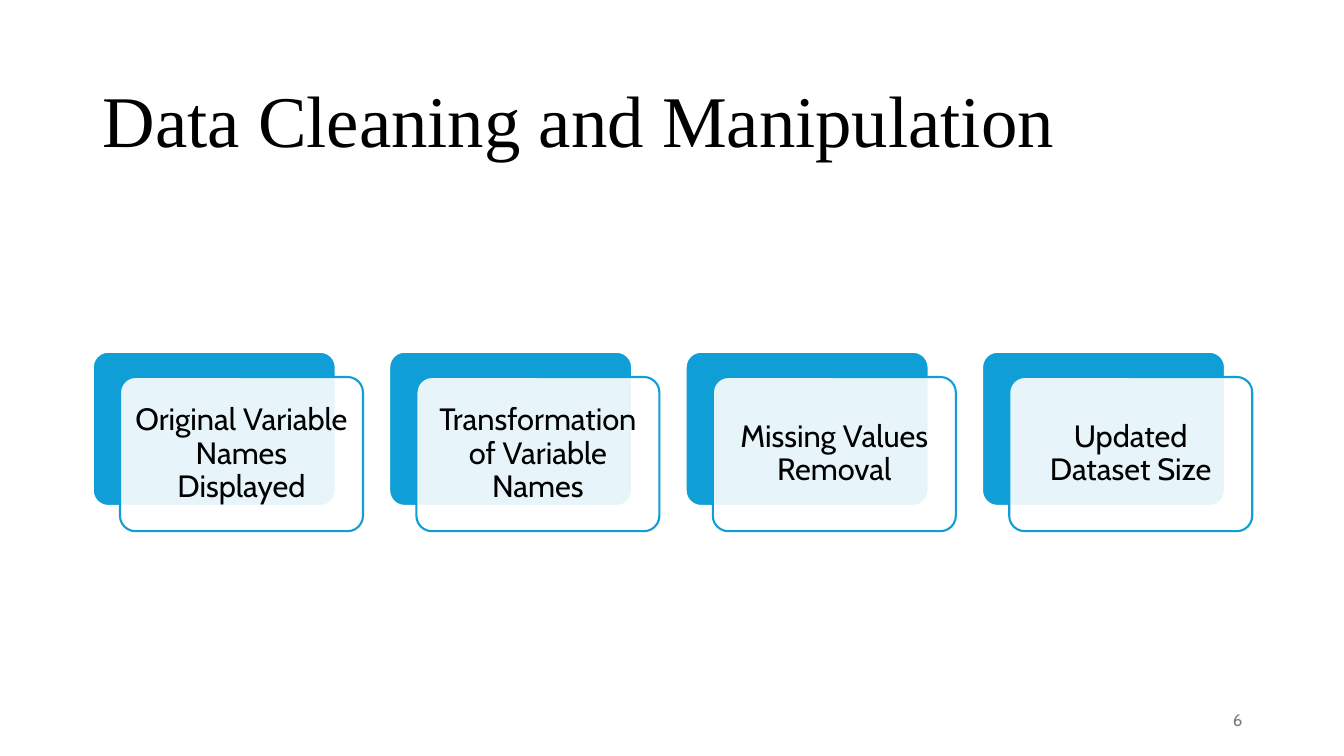
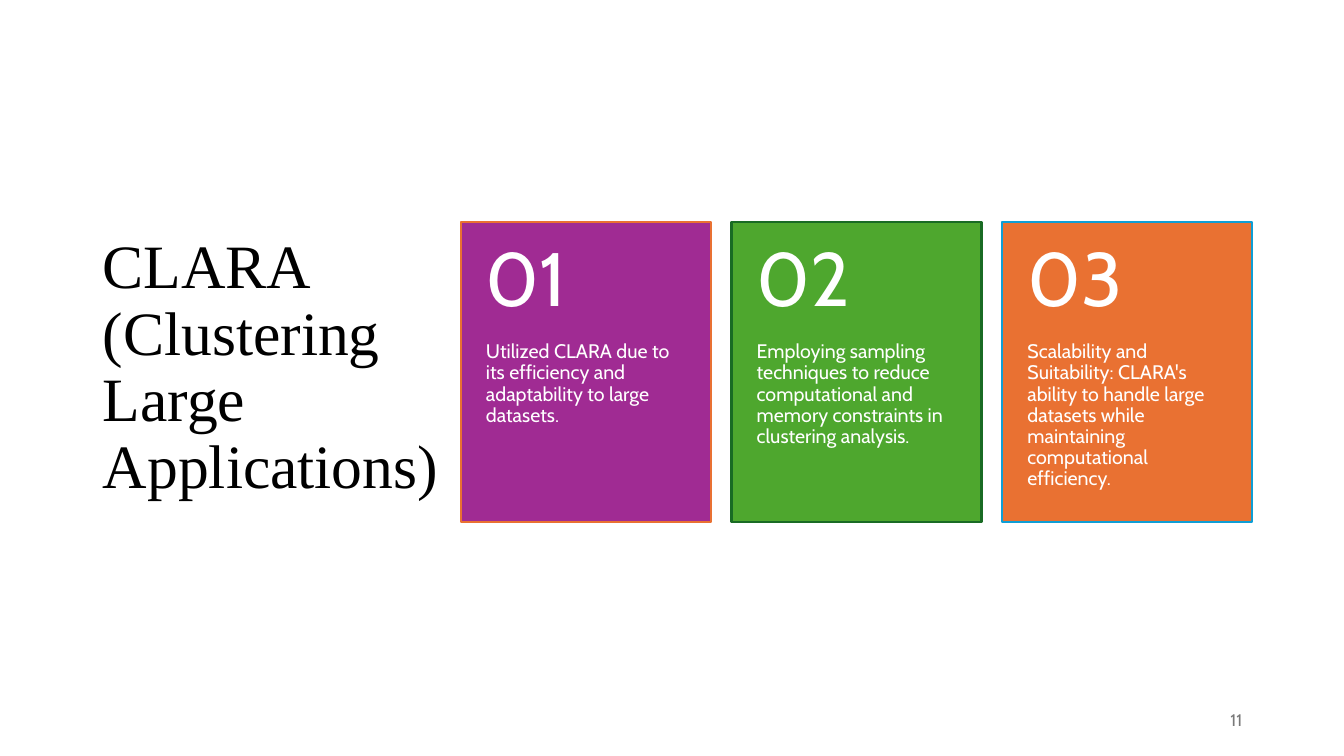
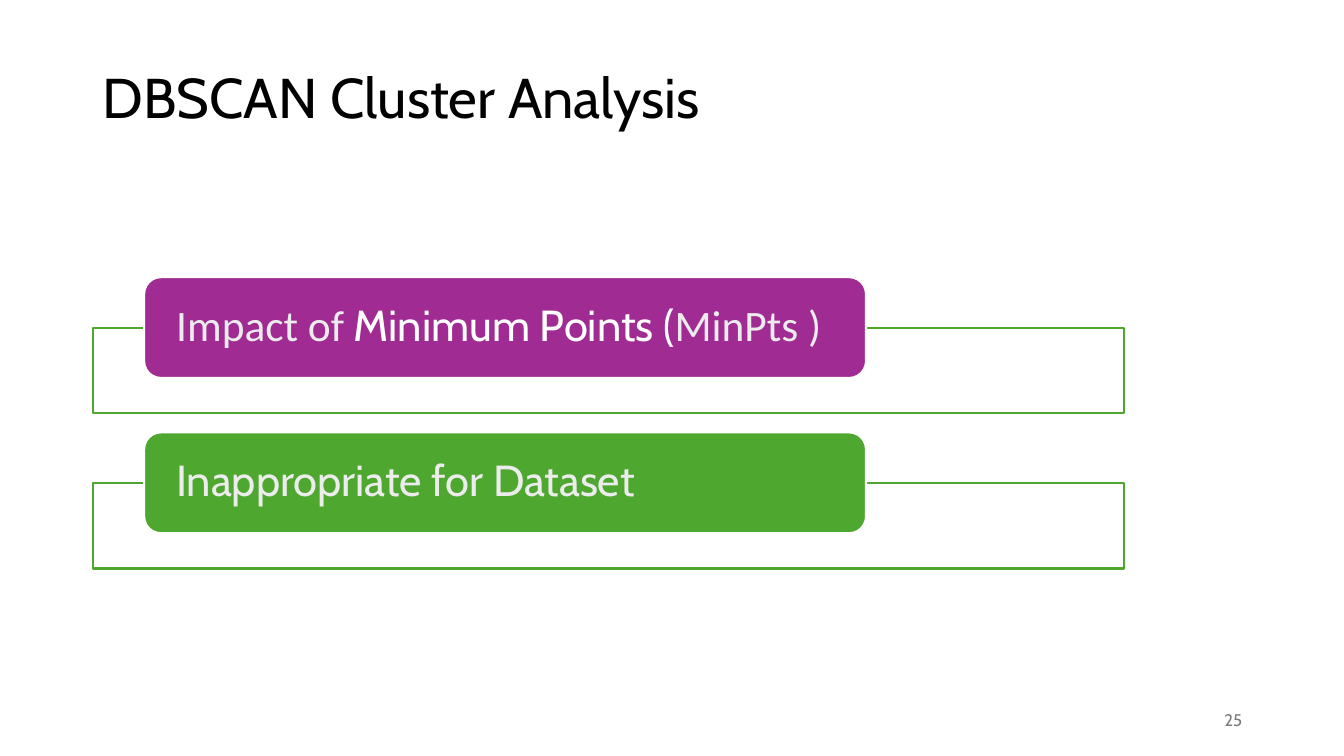
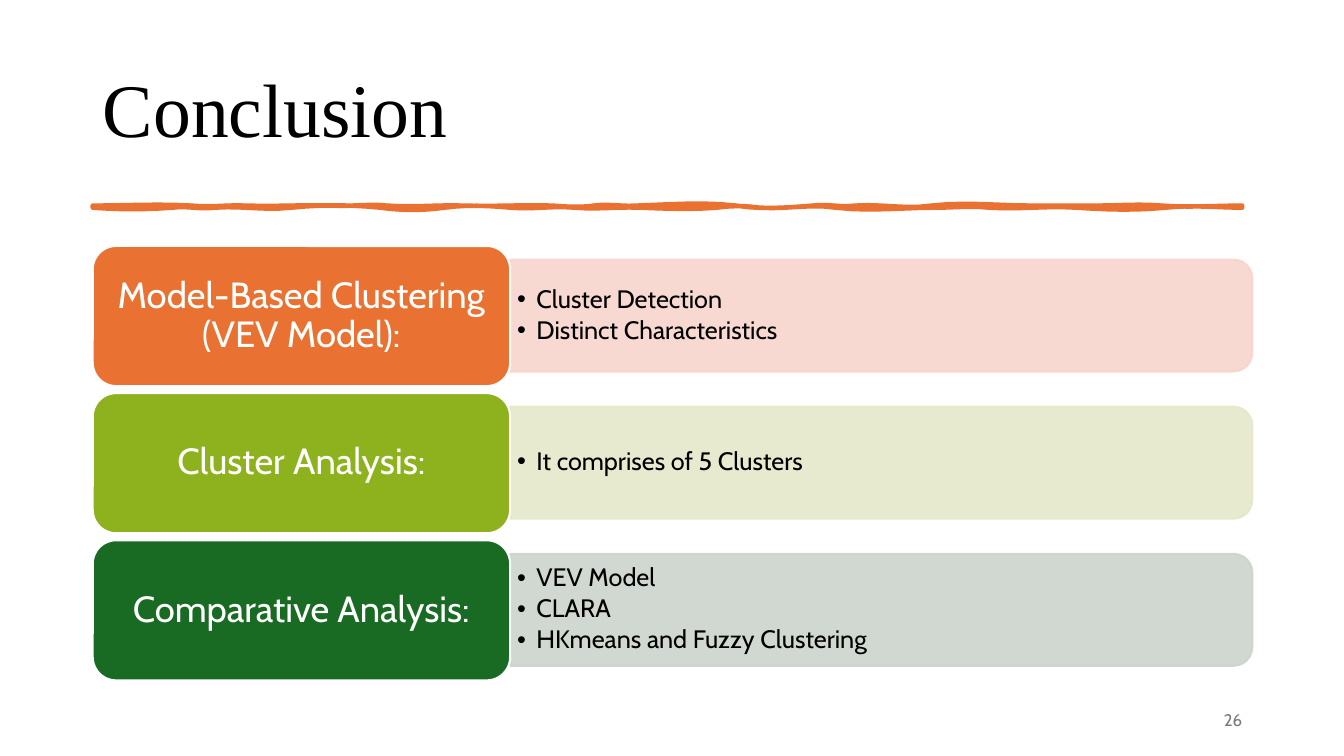
from lxml import etree
from pptx import Presentation
from pptx.dml.color import RGBColor
from pptx.enum.shapes import MSO_SHAPE as SHAPE
from pptx.enum.text import MSO_ANCHOR as ANCHOR, MSO_AUTO_SIZE as AUTO, PP_ALIGN as ALIGN
from pptx.oxml.ns import qn
from pptx.util import Inches, Pt

BLACK = RGBColor(0x00, 0x00, 0x00)
WHITE = RGBColor(0xFF, 0xFF, 0xFF)
GREY = RGBColor(0x79, 0x79, 0x79)
PALE = RGBColor(0xEC, 0xEC, 0xEC)
BLUE = RGBColor(0x0F, 0x9E, 0xD5)
PURPLE = RGBColor(0xA0, 0x2B, 0x93)
GREEN = RGBColor(0x4E, 0xA7, 0x2E)
DARK_GREEN = RGBColor(0x19, 0x6B, 0x24)
LIME = RGBColor(0x8E, 0xB2, 0x1E)
ORANGE = RGBColor(0xE9, 0x71, 0x32)
ORANGE_TINT = RGBColor(0xF7, 0xD5, 0xCE)
LIME_TINT = RGBColor(0xE5, 0xE8, 0xCA)
GREEN_TINT = RGBColor(0xCC, 0xD4, 0xCD)

BODY = "Cabin"
SERIF = "Times New Roman"
LEFT = 0.92
WIDTH = 11.5

TOP_WAVE = [
    (2.04, 2.02, 1.9), (2.06, 2.03, 2.44), (2.05, 2.03, 3.31),
    (2.05, 2.02, 3.84), (2.06, 2.03, 4.6), (2.05, 2.03, 5.48),
    (2.05, 2.06, 5.89), (2.02, 2.05, 6.31), (2.03, 2.0, 7.3),
    (2.08, 2.06, 8.06), (2.02, 2.06, 8.48), (2.02, 2.08, 9.24),
    (2.0, 2.04, 10.23), (2.04, 2.04, 10.87), (2.04, 2.02, 11.52),
    (2.06, 2.04, 12.32),
]
BOTTOM_WAVE = [
    (2.06, 2.03, 11.56), (2.09, 2.08, 10.68), (2.04, 2.08, 9.81),
    (2.04, 2.06, 9.28), (2.06, 2.1, 8.29), (2.02, 2.08, 7.53),
    (2.04, 2.04, 7.11), (2.08, 2.07, 6.35), (2.05, 2.08, 5.7),
    (2.04, 2.08, 5.06), (2.04, 2.03, 4.41), (2.09, 2.09, 3.77),
    (2.03, 2.03, 2.89), (2.09, 2.04, 2.13), (2.08, 2.04, 1.71),
    (2.08, 2.08, 0.92),
]


def box(x, y, w, h):
    return Inches(x), Inches(y), Inches(w), Inches(h)


def add_runs(p, runs, size, color, font=BODY):
    if isinstance(runs, str):
        runs = [(runs, font, color)]
    for text, name, rgb in runs:
        r = p.add_run()
        r.text = text
        r.font.name = name
        r.font.size = Pt(size)
        r.font.color.rgb = rgb


def set_frame(tf, insets=(0.1, 0.05, 0.1, 0.05), anchor=ANCHOR.MIDDLE):
    tf.word_wrap = True
    tf.auto_size = AUTO.NONE
    tf.vertical_anchor = anchor
    tf.margin_left, tf.margin_top, tf.margin_right, tf.margin_bottom = map(Inches, insets)


def write(sp, runs, size, color, align=ALIGN.LEFT, font=BODY, **frame):
    tf = sp.text_frame
    set_frame(tf, **frame)
    p = tf.paragraphs[0]
    p.alignment = align
    p.line_spacing = 0.9
    add_runs(p, runs, size, color, font)


def add_text(slide, bounds, runs, size, color, **style):
    write(slide.shapes.add_textbox(*box(*bounds)), runs, size, color, **style)


def set_alpha(fill_parent, percent):
    rgb = fill_parent.find(qn("a:solidFill")).find(qn("a:srgbClr"))
    etree.SubElement(rgb, qn("a:alpha")).set("val", str(percent * 1000))


def add_panel(slide, kind, bounds, fill, line, alpha=None, corner=None):
    sp = slide.shapes.add_shape(kind, *box(*bounds))
    sp.shadow.inherit = False
    sp.fill.solid()
    sp.fill.fore_color.rgb = fill
    sp.line.color.rgb = line
    sp.line.width = Pt(1.5)
    if corner is not None:
        sp.adjustments[0] = corner
    if alpha:
        set_alpha(sp._element.spPr, alpha)
    return sp


def add_bullets(slide, bounds, items):
    tf = slide.shapes.add_textbox(*box(*bounds)).text_frame
    set_frame(tf, insets=(0.07, 0.04, 0.07, 0.04))
    for i, item in enumerate(items):
        p = tf.add_paragraph() if i else tf.paragraphs[0]
        pPr = p._p.get_or_add_pPr()
        pPr.set("marL", str(Inches(0.19)))
        pPr.set("indent", str(-Inches(0.19)))
        etree.SubElement(pPr, qn("a:buFont")).set("typeface", "Arial")
        etree.SubElement(pPr, qn("a:buChar")).set("char", "•")
        p.line_spacing = 0.9
        p.space_after = Pt(2.7)
        add_runs(p, item, 18, BLACK)


def add_slide(prs, title, number, top, height, size, width=WIDTH, font=SERIF):
    slide = prs.slides.add_slide(prs.slide_layouts[5])
    sp = slide.shapes.title
    sp.left, sp.top, sp.width, sp.height = box(LEFT, top, width, height)
    write(sp, title, size, BLACK, font=font)
    add_text(slide, (9.42, 6.95, 3, 0.4), str(number), 12, GREY, align=ALIGN.RIGHT)
    return slide


def wave_points(x, y, curves, steps=6):
    points = []
    for c1, c2, end in curves:
        for i in range(1, steps + 1):
            t = i / steps
            u = 1 - t
            curve_y = u**3 * y + 3 * u * u * t * c1 + 3 * u * t * t * c2 + t**3 * y
            points.append((Inches(x + (end - x) * t), Inches(curve_y)))
        x = end
    return points


def add_brush_line(slide):
    right = TOP_WAVE[-1][-1]
    fb = slide.shapes.build_freeform(Inches(LEFT), Inches(2.04))
    fb.add_line_segments(wave_points(LEFT, 2.04, TOP_WAVE), close=False)
    fb.add_line_segments([(Inches(right), Inches(2.06))], close=False)
    fb.add_line_segments(wave_points(right, 2.06, BOTTOM_WAVE), close=True)
    sp = fb.convert_to_shape()
    sp.shadow.inherit = False
    sp.fill.solid()
    sp.fill.fore_color.rgb = ORANGE
    sp.line.color.rgb = ORANGE
    sp.line.width = Pt(3.25)


def add_step(slide, x, label):
    add_panel(slide, SHAPE.ROUNDED_RECTANGLE, (x, 3.49, 2.41, 1.53), BLUE, WHITE, corner=0.1)
    sp = add_panel(slide, SHAPE.ROUNDED_RECTANGLE, (x + 0.27, 3.74, 2.41, 1.53),
                   WHITE, BLUE, alpha=90, corner=0.1)
    write(sp, label, 22, BLACK, align=ALIGN.CENTER, insets=(0.09,) * 4)


def add_card(slide, x, number, text, fill, line):
    add_panel(slide, SHAPE.RECTANGLE, (x, 2.2, 2.48, 2.98), fill, line)
    add_text(slide, (x, 3.39, 2.48, 1.79), text, 14, WHITE,
             insets=(0.25, 0, 0.25, 0.36), anchor=ANCHOR.TOP)
    add_text(slide, (x, 2.2, 2.48, 1.19), f"{number:02d}", 54, WHITE,
             insets=(0.25, 0.18, 0.25, 0.18))


def add_tab(slide, y, runs, fill):
    add_panel(slide, SHAPE.RECTANGLE, (LEFT, y + 0.5, 10.23, 0.85), WHITE, GREEN, alpha=90)
    sp = add_panel(slide, SHAPE.ROUNDED_RECTANGLE, (1.43, y, 7.16, 1), fill, WHITE)
    write(sp, runs, 31, PALE, insets=(0.27, 0, 0.27, 0))


def add_finding(slide, y, heading, items, fill, tint):
    length, depth = 7.36, 1.11
    mid_x, mid_y = 8.74, y + 0.69
    bar = add_panel(slide, SHAPE.ROUND_2_SAME_RECTANGLE,
                    (mid_x - depth / 2, mid_y - length / 2, depth, length), tint, tint, alpha=90)
    bar.rotation = 90
    set_alpha(bar.line._ln, 90)
    add_bullets(slide, (5.06, y + 0.19, 7.31, 1), items)
    sp = add_panel(slide, SHAPE.ROUNDED_RECTANGLE, (LEFT, y, 4.14, 1.39), fill, WHITE)
    write(sp, heading, 26, WHITE, align=ALIGN.CENTER, insets=(0.11, 0.05, 0.11, 0.05))


def cleaning_slide(prs):
    slide = add_slide(prs, "Data Cleaning and Manipulation", 6, 0.61, 1.24, 52)
    labels = ["Original Variable Names Displayed", "Transformation of Variable Names",
              "Missing Values Removal", "Updated Dataset Size"]
    for i, label in enumerate(labels):
        add_step(slide, LEFT + 2.94 * i, label)


def clara_slide(prs):
    slide = add_slide(prs, "CLARA (Clustering Large Applications)", 11, 0.61, 6.09, 44, width=3.66)
    cards = [
        ("Utilized CLARA due to its efficiency and adaptability to large datasets.",
         PURPLE, ORANGE),
        ("Employing sampling techniques to reduce computational and memory constraints "
         "in clustering analysis.", GREEN, DARK_GREEN),
        ("Scalability and Suitability: CLARA's ability to handle large datasets while "
         "maintaining computational efficiency.", ORANGE, BLUE),
    ]
    first, last = 4.57, 9.94
    pitch = (last - first) / (len(cards) - 1)
    for i, (text, fill, line) in enumerate(cards):
        add_card(slide, first + pitch * i, i + 1, text, fill, line)


def dbscan_slide(prs):
    slide = add_slide(prs, "DBSCAN Cluster Analysis", 25, 0.19, 1.62, 40, font=BODY)
    impact = [("Impact of ", "Calibri", PALE), ("Minimum Points (", BODY, WHITE),
              ("MinPts )", "Calibri", PALE)]
    tabs = [(impact, PURPLE), ("Inappropriate for Dataset", GREEN)]
    for i, (runs, fill) in enumerate(tabs):
        add_tab(slide, 2.75 + 1.54 * i, runs, fill)


def conclusion_slide(prs):
    slide = add_slide(prs, "Conclusion", 26, 0.4, 1.45, 54)
    add_brush_line(slide)
    findings = [
        ("Model-Based Clustering (VEV Model):",
         ["Cluster Detection", "Distinct Characteristics"], ORANGE, ORANGE_TINT),
        ("Cluster Analysis:", ["It comprises of 5 Clusters"], LIME, LIME_TINT),
        ("Comparative Analysis:",
         ["VEV Model", "CLARA", "HKmeans and Fuzzy Clustering"], DARK_GREEN, GREEN_TINT),
    ]
    for i, finding in enumerate(findings):
        add_finding(slide, 2.44 + 1.46 * i, *finding)


def main():
    prs = Presentation()
    prs.slide_width = Inches(13.33)
    prs.slide_height = Inches(7.5)
    cleaning_slide(prs)
    clara_slide(prs)
    dbscan_slide(prs)
    conclusion_slide(prs)
    prs.save("out.pptx")


if __name__ == "__main__":
    main()
